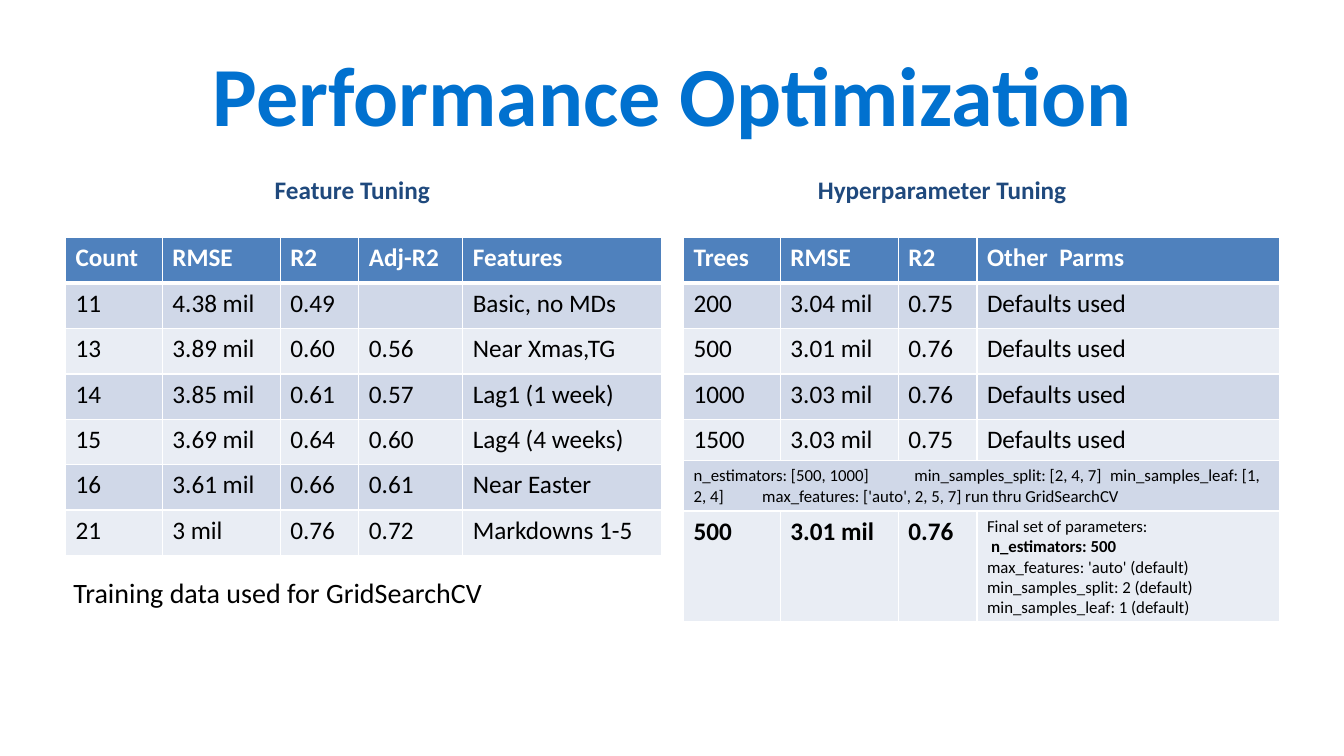
from pptx import Presentation
from pptx.dml.color import RGBColor
from pptx.enum.text import MSO_ANCHOR, PP_ALIGN
from pptx.oxml.ns import qn
from pptx.util import Inches, Pt
from lxml import etree

CENTER, LEFT = PP_ALIGN.CENTER, PP_ALIGN.LEFT
TOP, MIDDLE = MSO_ANCHOR.TOP, MSO_ANCHOR.MIDDLE

FONT = "Calibri"
BLUE, NAVY, BLACK, WHITE = "0171CF", "1F497D", "000000", "FFFFFF"
HEADER, BANDS = "4F81BD", ("E9EDF4", "D0D8E8")

TITLE = "Performance Optimization"
NOTE = "Training data used for GridSearchCV"
FEATURE_ROWS = [
    ("Count", "RMSE", "R2", "Adj-R2", "Features"),
    ("11", "4.38 mil", "0.49", "", "Basic, no MDs"),
    ("13", "3.89 mil", "0.60", "0.56", "Near Xmas,TG"),
    ("14", "3.85 mil", "0.61", "0.57", "Lag1 (1 week)"),
    ("15", "3.69 mil", "0.64", "0.60", "Lag4 (4 weeks)"),
    ("16", "3.61 mil", "0.66", "0.61", "Near Easter"),
    ("21", "3 mil", "0.76", "0.72", "Markdowns 1-5"),
]
SEARCH_GRID = (
    "n_estimators: [500, 1000]\tmin_samples_split: [2, 4, 7]\t"
    "min_samples_leaf: [1, 2, 4]\tmax_features: ['auto', 2, 5, 7] run thru GridSearchCV"
)
SEARCH_TABS = (0.68, 2.19, 4.13)
FINAL_PARAMETERS = (
    "Final set of parameters:\nn_estimators: 500\nmax_features: 'auto' (default)\n"
    "min_samples_split: 2 (default)\nmin_samples_leaf: 1 (default)"
)
TREE_ROWS = [
    ("Trees", "RMSE", "R2", "Other  Parms"),
    ("200", "3.04 mil", "0.75", "Defaults used"),
    ("500", "3.01 mil", "0.76", "Defaults used"),
    ("1000", "3.03 mil", "0.76", "Defaults used"),
    ("1500", "3.03 mil", "0.75", "Defaults used"),
    (SEARCH_GRID, "", "", ""),
    ("500", "3.01 mil", "0.76", FINAL_PARAMETERS),
]
SEARCH_ROW, FINAL_ROW = 5, 6

TABLE_TOP, ROW = 2.36, 0.45
SHARED_COLS = [0.96, 1.17, 0.78]
FEATURE_COLS = SHARED_COLS + [1.03, 1.97]
TREE_COLS = SHARED_COLS + [3]
FEATURE_HEIGHTS = [ROW] * 7
TREE_HEIGHTS = [ROW] * 4 + [0.41, 0.5, 1.09]


def color(value):
    return RGBColor.from_string(value)


def write(tf, text, size, fill, bold=False, align=LEFT):
    tf.text = text
    for p in tf.paragraphs:
        p.alignment = align
        for r in p.runs:
            r.font.name = FONT
            r.font.size = Pt(size)
            r.font.bold = bold
            r.font.color.rgb = color(fill)


def add_text(s, box, text, size, fill, bold=False, align=LEFT, anchor=TOP):
    tf = s.shapes.add_textbox(*map(Inches, box)).text_frame
    tf.word_wrap = True
    tf.vertical_anchor = anchor
    write(tf, text, size, fill, bold, align)


def set_borders(cell, bottom):
    """Draw white cell edges, 1 pt except for the bottom one."""
    tcPr = cell._tc.get_or_add_tcPr()
    for i, (side, width) in enumerate((("L", 1), ("R", 1), ("T", 1), ("B", bottom))):
        ln = etree.Element(qn("a:ln" + side), w=str(Pt(width)))
        fill = etree.SubElement(ln, qn("a:solidFill"))
        etree.SubElement(fill, qn("a:srgbClr"), val=WHITE)
        tcPr.insert(i, ln)


def add_table(s, left, rows, cols, heights):
    frame = s.shapes.add_table(len(rows), len(cols), Inches(left), Inches(TABLE_TOP),
                               Inches(sum(cols)), Inches(sum(heights)))
    table = frame.table
    table.horz_banding = False
    for column, width in zip(table.columns, cols):
        column.width = Inches(width)
    for i, (row, height) in enumerate(zip(rows, heights)):
        table.rows[i].height = Inches(height)
        header = i == 0
        for j, text in enumerate(row):
            cell = table.cell(i, j)
            cell.fill.solid()
            cell.fill.fore_color.rgb = color(HEADER if header else BANDS[i % 2])
            write(cell.text_frame, text, 18, WHITE if header else BLACK, header)
            set_borders(cell, 3 if header else 1)
    return table


def finish_tree_table(table):
    """Merge the search row and set the final row's emphasis and small print."""
    search = table.cell(SEARCH_ROW, 0)
    search.merge(table.cell(SEARCH_ROW, len(TREE_COLS) - 1))
    write(search.text_frame, SEARCH_GRID, 12, BLACK)
    pPr = search.text_frame.paragraphs[0]._p.get_or_add_pPr()
    tabs = etree.SubElement(pPr, qn("a:tabLst"))
    for pos in SEARCH_TABS:
        etree.SubElement(tabs, qn("a:tab"), pos=str(Inches(pos)), algn="l")

    *scores, parameters = [table.cell(FINAL_ROW, j) for j in range(len(TREE_COLS))]
    for cell in scores:
        cell.text_frame.paragraphs[0].runs[0].font.bold = True
    write(parameters.text_frame, FINAL_PARAMETERS, 12, BLACK)
    chosen = parameters.text_frame.paragraphs[1]
    chosen.runs[0].font.bold = True
    chosen._p.get_or_add_pPr().set("marL", str(Inches(0.04)))


def main():
    prs = Presentation()
    prs.slide_width, prs.slide_height = Inches(13.33), Inches(7.5)
    s = prs.slides.add_slide(prs.slide_layouts[6])
    add_text(s, (0.67, 0.3, 12, 1.25), TITLE, 60, BLUE, True, CENTER, MIDDLE)
    add_table(s, 0.65, FEATURE_ROWS, FEATURE_COLS, FEATURE_HEIGHTS)
    for left, heading in ((1.06, "Feature Tuning"), (6.91, "Hyperparameter Tuning")):
        add_text(s, (left, 1.68, 4.87, 0.4), heading, 18, NAVY, True, CENTER)
    finish_tree_table(add_table(s, 6.78, TREE_ROWS, TREE_COLS, TREE_HEIGHTS))
    add_text(s, (0.63, 5.66, 5.97, 0.44), NOTE, 20, BLACK)
    prs.save("out.pptx")


if __name__ == "__main__":
    main()
